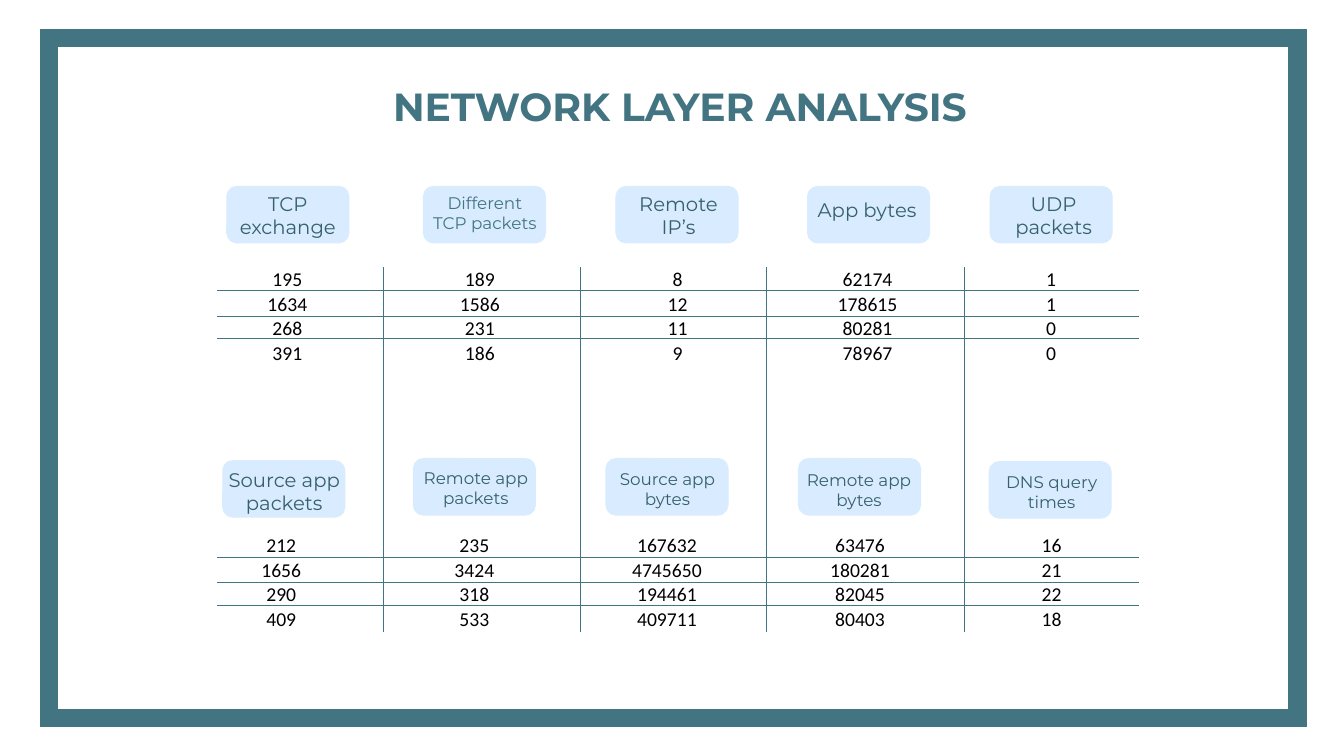
from pptx import Presentation
from pptx import util as u
from pptx.dml.color import RGBColor
from pptx.enum import shapes, text
from pptx.oxml.ns import qn
from lxml import etree

TEAL = RGBColor(0x42, 0x74, 0x82)
SLATE = RGBColor(0x37, 0x60, 0x6B)
PALE_BLUE = RGBColor(0xD8, 0xEB, 0xFF)
BLACK = RGBColor(0, 0, 0)

TITLE = "NETWORK LAYER ANALYSIS"
PILL_SIZE = (1.19, 0.54)
ROW_HEIGHT = 0.2425
RULE_SPAN = (2.15, 11.3)
DIVIDER_SPAN = (2.65, 6.27)
DIVIDERS = [3.8, 5.76, 7.6, 9.56]

# label, size, colour, top inset, pill (x, y), label box (x, y, w), column (x, w), values
BANDS = [
    {"top": 2.65, "rules": [2.88, 3.14, 3.36], "metrics": [
        ("TCP exchange", 14, SLATE, 0.1, (2.26, 1.86), (2.16, 1.8, 1.39), (2.27, 1.16), [195, 1634, 268, 391]),
        ("Different TCP packets", 12, TEAL, 0.05, (4.21, 1.86), (4.16, 1.86, 1.3), (4.21, 1.1), [189, 1586, 231, 186]),
        ("Remote IP’s", 14, SLATE, 0.1, (6.12, 1.86), (6.08, 1.8, 1.3), (6.12, 1.2), [8, 12, 11, 9]),
        ("App bytes", 14, SLATE, 0.1, (8.02, 1.86), (7.99, 1.86, 1.22), (8.02, 1.17), [62174, 178615, 80281, 78967]),
        ("UDP packets", 14, SLATE, 0.1, (9.83, 1.86), (9.84, 1.8, 1.22), (9.84, 1.17), [1, 1, 0, 0]),
    ]},
    {"top": 5.29, "rules": [5.53, 5.78, 6.01], "metrics": [
        ("Source app packets", 14, SLATE, 0.1, (2.22, 4.58), (2.16, 4.54, 1.32), (2.16, 1.26), [212, 1656, 290, 409]),
        ("Remote app packets", 12, SLATE, 0.1, (4.11, 4.56), (4.06, 4.54, 1.32), (4.11, 1.19), [235, 3424, 318, 533]),
        ("Source app bytes", 12, SLATE, 0.1, (6.02, 4.56), (5.96, 4.55, 1.32), (6.02, 1.19), [167632, 4745650, 194461, 409711]),
        ("Remote app bytes", 12, SLATE, 0.1, (7.93, 4.56), (7.86, 4.56, 1.32), (7.93, 1.2), [63476, 180281, 82045, 80403]),
        ("DNS query times", 12, SLATE, 0.1, (9.82, 4.59), (9.77, 4.58, 1.32), (9.84, 1.18), [16, 21, 22, 18]),
    ]},
]


def inches(*lengths):
    return [u.Inches(length) for length in lengths]


def write(paragraph, words, font, size, colour, bold=False, align=text.PP_ALIGN.CENTER):
    paragraph.text = words
    paragraph.alignment = align
    paragraph.font.name = font
    paragraph.font.size = u.Pt(size)
    paragraph.font.bold = bold
    paragraph.font.color.rgb = colour


def add_block(holder, preset, place, colour, line_width):
    block = holder.add_shape(preset, *inches(*place))
    block.shadow.inherit = False
    block.fill.solid()
    block.fill.fore_color.rgb = colour
    block.line.color.rgb = colour
    block.line.width = u.Pt(line_width)
    return block


def add_heading(slide, label, size, colour, inset, pill, label_box):
    heading = slide.shapes.add_group_shape().shapes
    add_block(heading, shapes.MSO_SHAPE.ROUNDED_RECTANGLE, (*pill, *PILL_SIZE), PALE_BLUE, 2.25)
    frame = heading.add_textbox(*inches(*label_box, 0.5)).text_frame
    frame.word_wrap = True
    frame.margin_top = frame.margin_bottom = u.Inches(inset)
    write(frame.paragraphs[0], label, "Montserrat", size, colour)


def add_column(slide, left, top, width, values):
    place = inches(left, top, width, ROW_HEIGHT * len(values))
    column = slide.shapes.add_table(len(values), 1, *place).table
    column.first_row = column.horz_banding = False
    for cell, value in zip(column.iter_cells(), values):
        cell.fill.background()
        cell.vertical_anchor = text.MSO_ANCHOR.BOTTOM
        cell.margin_left = cell.margin_right = cell.margin_top = u.Inches(0.01)
        cell.margin_bottom = 0
        write(cell.text_frame.paragraphs[0], str(value), "Calibri", 14, BLACK)


def add_rule(slide, *ends):
    rule = slide.shapes.add_connector(shapes.MSO_CONNECTOR.STRAIGHT, *inches(*ends))
    rule.line.color.rgb = TEAL
    rule.line.width = u.Pt(0.5)
    etree.SubElement(rule._element.spPr, qn("a:effectLst"))


def main():
    deck = Presentation()
    deck.slide_width, deck.slide_height = inches(13.33, 7.5)
    slide = deck.slides.add_slide(deck.slide_layouts[6])

    title = slide.shapes.add_textbox(*inches(3.8, 0.77, 6.02, 0.57)).text_frame
    title.word_wrap = False
    title.auto_size = text.MSO_AUTO_SIZE.SHAPE_TO_FIT_TEXT
    write(title.paragraphs[0], TITLE, "Montserrat", 28, TEAL, True, text.PP_ALIGN.LEFT)

    for band in BANDS:
        for *heading, _, _ in band["metrics"]:
            add_heading(slide, *heading)

    border = add_block(slide.shapes, shapes.MSO_SHAPE.FRAME, (0.4, 0.29, 12.56, 6.92), TEAL, 1)
    border.adjustments[0] = 0.025

    for band in BANDS:
        for *_, (left, width), values in band["metrics"]:
            add_column(slide, left, band["top"], width, values)

    for band in BANDS:
        for y in band["rules"]:
            add_rule(slide, RULE_SPAN[0], y, RULE_SPAN[1], y)
    for x in DIVIDERS:
        add_rule(slide, x, DIVIDER_SPAN[0], x, DIVIDER_SPAN[1])

    deck.save("out.pptx")


if __name__ == "__main__":
    main()
